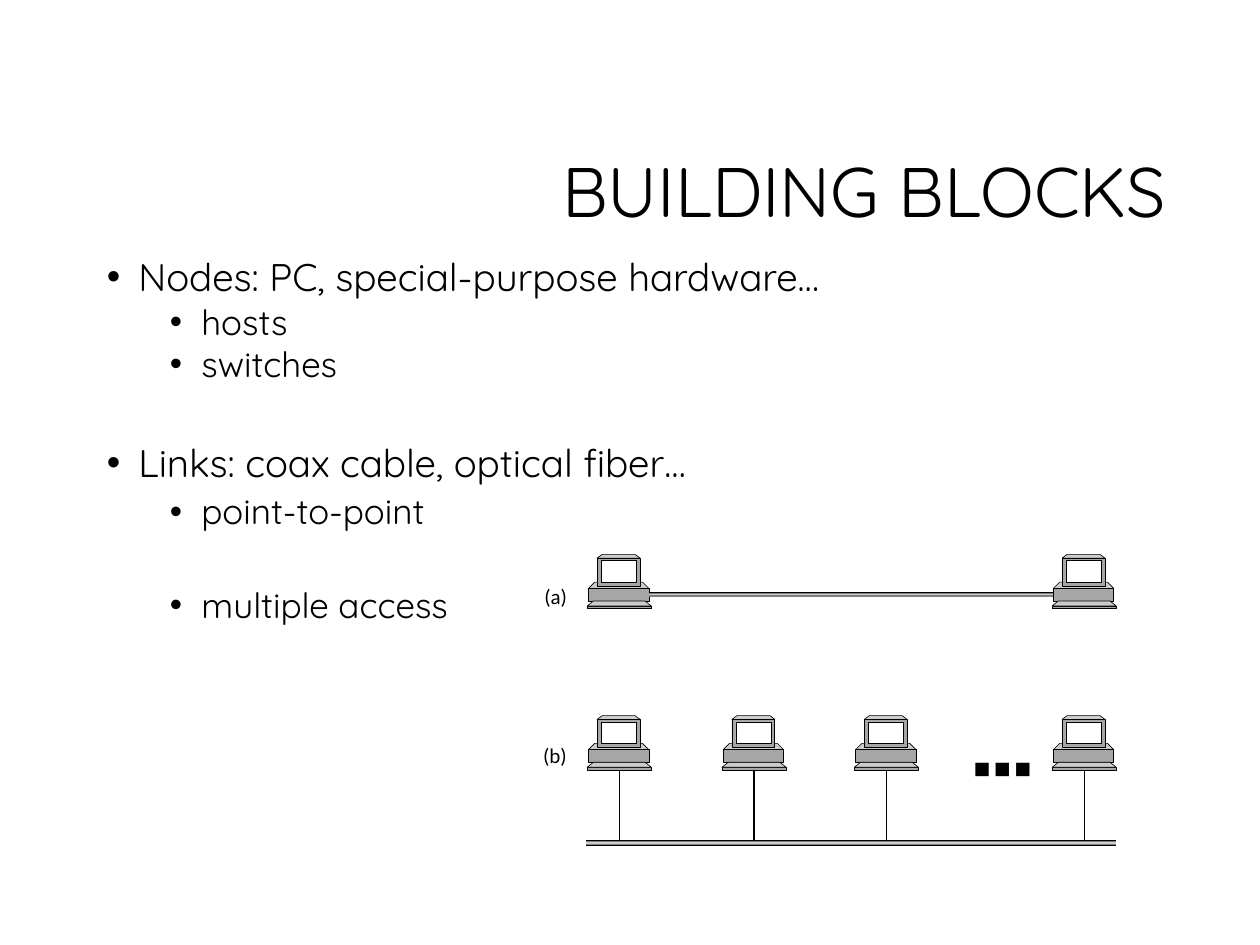
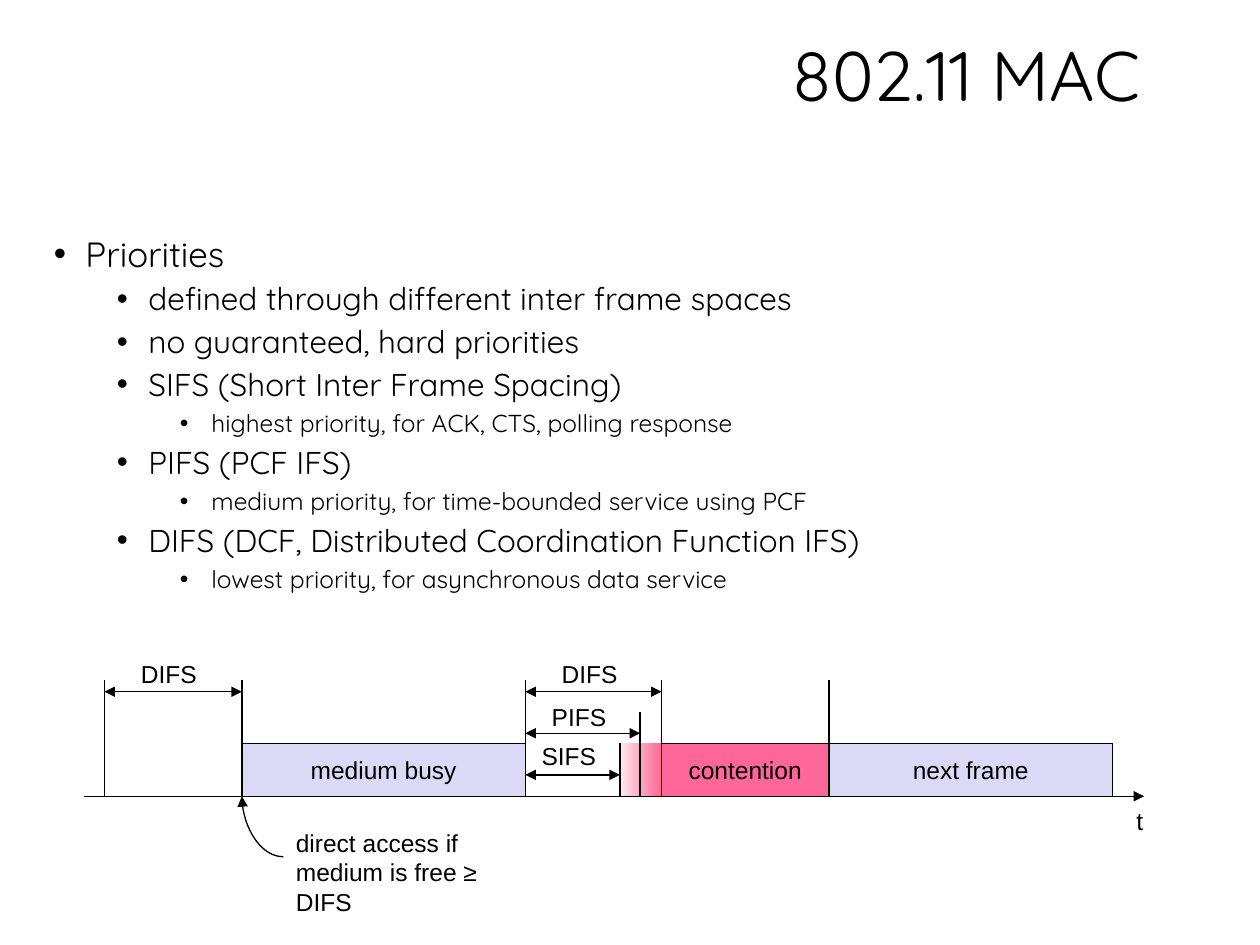
import pptx
import pptx.util
import pptx.dml.color
import pptx.enum.shapes
import pptx.enum.text
import pptx.oxml.ns
import lxml.etree

Inches = pptx.util.Inches
Pt = pptx.util.Pt
qn = pptx.oxml.ns.qn
Align = pptx.enum.text.PP_ALIGN
Anchor = pptx.enum.text.MSO_ANCHOR
RECTANGLE = pptx.enum.shapes.MSO_SHAPE.RECTANGLE
Connector = pptx.enum.shapes.MSO_CONNECTOR

BLACK, WHITE = "000000", "FFFFFF"
LIGHT_GRAY, MID_GRAY, DARK_GRAY = "CCCCCC", "A6A6A6", "7F7F7F"
LAVENDER, PINK, PALE_PINK = "DADAF6", "FF6699", "FFEAEF"
HEADING_FONT, LABEL_FONT, DIAGRAM_FONT = "Quicksand", "Calibri", "Arial"
BOTTOM, LEFT, RIGHT = 2, 1, 3  # connection sites of a rectangle


def color(hex_text):
    return pptx.dml.color.RGBColor.from_string(hex_text)


def add_run(paragraph, text, size, font):
    run = paragraph.add_run()
    run.text = text
    run.font.size = Pt(size)
    run.font.name = font
    run.font.color.rgb = color(BLACK)


def add_text_box(slide, left, top, width, height, inset=None, wrap=False):
    """Add an empty text box and return its text frame."""
    frame = slide.shapes.add_textbox(
        Inches(left), Inches(top), Inches(width), Inches(height)).text_frame
    frame.word_wrap = wrap
    if inset is not None:
        frame.margin_left = frame.margin_right = Inches(inset)
        frame.margin_top = frame.margin_bottom = Inches(inset)
    return frame


def add_title(slide, text, left, top, width, height):
    frame = add_text_box(slide, left, top, width, height, wrap=True)
    frame.vertical_anchor = Anchor.MIDDLE
    paragraph = frame.paragraphs[0]
    paragraph.alignment = Align.RIGHT
    paragraph.line_spacing = 0.9
    add_run(paragraph, text, 40, HEADING_FONT)


def add_bullet(paragraph, level):
    properties = paragraph._p.get_or_add_pPr()
    properties.set("marL", str(Inches(0.25 + 0.5 * level)))
    properties.set("indent", str(-Inches(0.25)))
    lxml.etree.SubElement(properties, qn("a:buFont")).set("typeface", "Arial")
    lxml.etree.SubElement(properties, qn("a:buChar")).set("char", "•")
    paragraph.level = level


def add_bullets(slide, box, items, sizes):
    """Fill a box from (level, text, space before, line spacing) items."""
    frame = add_text_box(slide, *box, wrap=True)
    for index, (level, text, space_before, line_spacing) in enumerate(items):
        paragraph = frame.add_paragraph() if index else frame.paragraphs[0]
        add_bullet(paragraph, level)
        paragraph.space_before = Pt(space_before)
        paragraph.line_spacing = line_spacing
        add_run(paragraph, text, sizes[level], HEADING_FONT)


def paint(shape, fill, line_width):
    shape.shadow.inherit = False
    shape.fill.solid()
    shape.fill.fore_color.rgb = color(fill)
    shape.line.color.rgb = color(BLACK)
    shape.line.width = Pt(line_width)


def add_rectangle(slide, left, top, width, height, fill, line_width):
    shape = slide.shapes.add_shape(
        RECTANGLE, Inches(left), Inches(top), Inches(width), Inches(height))
    paint(shape, fill, line_width)
    return shape


def add_trapezoid(slide, left, top, width, height, slant):
    """Add a light top face whose upper corners are drawn in by slant."""
    right, bottom = left + width, top + height
    builder = slide.shapes.build_freeform(Inches(left), Inches(bottom))
    corners = [(left + slant, top), (right - slant, top), (right, bottom)]
    builder.add_line_segments([(Inches(x), Inches(y)) for x, y in corners])
    paint(builder.convert_to_shape(), LIGHT_GRAY, 0.38)


def add_line(slide, start, end, width=0.75, line_color=BLACK, arrows=(),
             kind=Connector.STRAIGHT):
    """Add a connector; arrows names its ends: headEnd at start, tailEnd at end."""
    line = slide.shapes.add_connector(
        kind, *(Inches(value) for value in (*start, *end)))
    line.line.color.rgb = color(line_color)
    line.line.width = Pt(width)
    outline = line.line._get_or_add_ln()
    for arrow in arrows:
        lxml.etree.SubElement(outline, qn("a:" + arrow)).set("type", "triangle")
    lxml.etree.SubElement(line._element.spPr, qn("a:effectLst"))
    return line


def add_cable(slide, start, end):
    """Stack three lines into one shaded cable and return them."""
    layers = [(3, BLACK), (2.25, DARK_GRAY), (0.75, LIGHT_GRAY)]
    return [add_line(slide, start, end, width, shade) for width, shade in layers]


def add_computer(slide, left, top):
    """Draw a desktop computer and return its case and its foot."""
    add_trapezoid(slide, left + 0.01, top + 0.22, 0.48, 0.05, 0.05)
    case = add_rectangle(slide, left + 0.01, top + 0.27, 0.48, 0.1, MID_GRAY, 0.38)
    foot = add_rectangle(slide, left, top + 0.41, 0.51, 0.02, MID_GRAY, 0.38)
    add_trapezoid(slide, left, top + 0.37, 0.51, 0.04, 0.05)
    add_trapezoid(slide, left + 0.08, top, 0.34, 0.03, 0.04)
    add_rectangle(slide, left + 0.08, top + 0.03, 0.34, 0.22, MID_GRAY, 0.38)
    add_rectangle(slide, left + 0.11, top + 0.05, 0.28, 0.17, WHITE, 0.38)
    return case, foot


def add_label(slide, text, left, top, width, height):
    frame = add_text_box(slide, left, top, width, height)
    add_run(frame.paragraphs[0], text, 14, DIAGRAM_FONT)


def build_building_blocks(slide):
    add_title(slide, "BUILDING BLOCKS", 2.38, 0.84, 6.97, 1.41)
    add_bullets(slide, (0.75, 2, 8.5, 4.5), [
        (0, "Nodes: PC, special-purpose hardware…", 0, 0.9),
        (1, "hosts", 5, 0.8),
        (1, "switches", 5, 0.8),
        (0, "Links: coax cable, optical fiber…", 34, 0.9),
        (1, "point-to-point", 5, 0.9),
        (1, "multiple access", 32, 0.9),
    ], sizes=(22, 20))

    for text, left, top in [("(a)", 4.32, 4.63), ("(b)", 4.31, 5.89)]:
        frame = add_text_box(slide, left, top, 0.29, 0.24, inset=0)
        add_run(frame.paragraphs[0], text, 12, LABEL_FONT)
    frame = add_text_box(slide, 7.73, 6.01, 0.49, 0.86, inset=0, wrap=True)
    add_run(frame.paragraphs[0], "■ ■ ■", 10, LABEL_FONT)

    first_case, last_case = (
        add_computer(slide, left, 4.4)[0] for left in (4.66, 8.35))
    for layer in add_cable(slide, (5.15, 4.72), (8.36, 4.72)):
        layer.begin_connect(first_case, RIGHT)
        layer.end_connect(last_case, LEFT)

    bus_y = 6.69
    for left in (4.66, 5.73, 6.78, 8.35):
        foot = add_computer(slide, left, 5.68)[1]
        middle = left + 0.51 / 2
        drop = add_line(slide, (middle, 6.11), (middle, bus_y))
        drop.begin_connect(foot, BOTTOM)
    add_cable(slide, (4.65, bus_y), (8.86, bus_y))


def build_mac_priorities(slide):
    add_title(slide, "802.11 MAC ", 0.8, 0, 8.5, 1.25)
    priorities = [
        (0, "Priorities"),
        (1, "defined through different inter frame spaces"),
        (1, "no guaranteed, hard priorities"),
        (1, "SIFS (Short Inter Frame Spacing)"),
        (2, "highest priority, for ACK, CTS, polling response"),
        (1, "PIFS (PCF IFS)"),
        (2, "medium priority, for time-bounded service using PCF"),
        (1, "DIFS (DCF, Distributed Coordination Function IFS)"),
        (2, "lowest priority, for asynchronous data service"),
    ]
    add_bullets(slide, (0.33, 1.83, 9.33, 3.21),
                [(level, text, 5 if level else 0, 0.9) for level, text in priorities],
                sizes=(20, 18, 14))

    axis_y, frame_top, frame_height = 6.32, 5.9, 0.42
    start, busy, idle = 0.83, 1.92, 4.17
    sifs_end, pifs_end, difs_end, next_start = 4.92, 5.08, 5.25, 6.58

    fade = add_rectangle(slide, sifs_end, frame_top, difs_end - sifs_end,
                         frame_height, PINK, 0.75)
    fade.line.fill.background()
    fade.fill.gradient()
    fade.fill.gradient_angle = 0
    for stop, shade in zip(fade.fill.gradient_stops, (PALE_PINK, PINK)):
        stop.color.rgb = color(shade)

    for text, left, width, fill in [
            ("medium busy", busy, idle - busy, LAVENDER),
            ("next frame", next_start, 2.25, LAVENDER),
            ("contention", difs_end, next_start - difs_end, PINK)]:
        block = add_rectangle(slide, left, frame_top, width, frame_height, fill, 0.75)
        block.text_frame.word_wrap = False
        block.text_frame.vertical_anchor = Anchor.MIDDLE
        paragraph = block.text_frame.paragraphs[0]
        paragraph.alignment = Align.CENTER
        add_run(paragraph, text, 14, DIAGRAM_FONT)

    add_line(slide, (0.67, axis_y), (9.08, axis_y), arrows=["tailEnd"])
    add_label(slide, "t", 8.92, 6.35, 0.3, 0.33)

    for x, top in [(start, 5.4), (busy, 5.4), (idle, 5.4), (difs_end, 5.4),
                   (next_start, 5.4), (pifs_end, 5.65), (sifs_end, frame_top)]:
        add_line(slide, (x, axis_y), (x, top))

    for text, begin, end, y, label_left, label_top in [
            ("SIFS", idle, sifs_end, 6.15, 4.2, 5.83),
            ("PIFS", idle, pifs_end, 5.82, 4.28, 5.52),
            ("DIFS", idle, difs_end, 5.49, 4.36, 5.18),
            ("DIFS", start, busy, 5.49, 1.02, 5.18)]:
        add_line(slide, (begin, y), (end, y), arrows=["headEnd", "tailEnd"])
        add_label(slide, text, label_left, label_top, 0.75, 0.33)

    note = add_text_box(slide, 2.25, 6.52, 2.13, 0.57, wrap=True).paragraphs[0]
    add_run(note, "direct access if", 14, DIAGRAM_FONT)
    note.add_line_break()
    add_run(note, "medium is free ≥ DIFS", 14, DIAGRAM_FONT)
    pointer = add_line(slide, (2.25, 6.8), (busy, axis_y), arrows=["tailEnd"],
                       kind=Connector.CURVE)
    pointer._element.spPr.find(qn("a:prstGeom")).set("prst", "curvedConnector2")


def main():
    presentation = pptx.Presentation()
    presentation.slide_width = Inches(10)
    presentation.slide_height = Inches(7.5)
    blank = presentation.slide_layouts[6]
    for build in (build_building_blocks, build_mac_priorities):
        build(presentation.slides.add_slide(blank))
    presentation.save("out.pptx")


if __name__ == "__main__":
    main()
